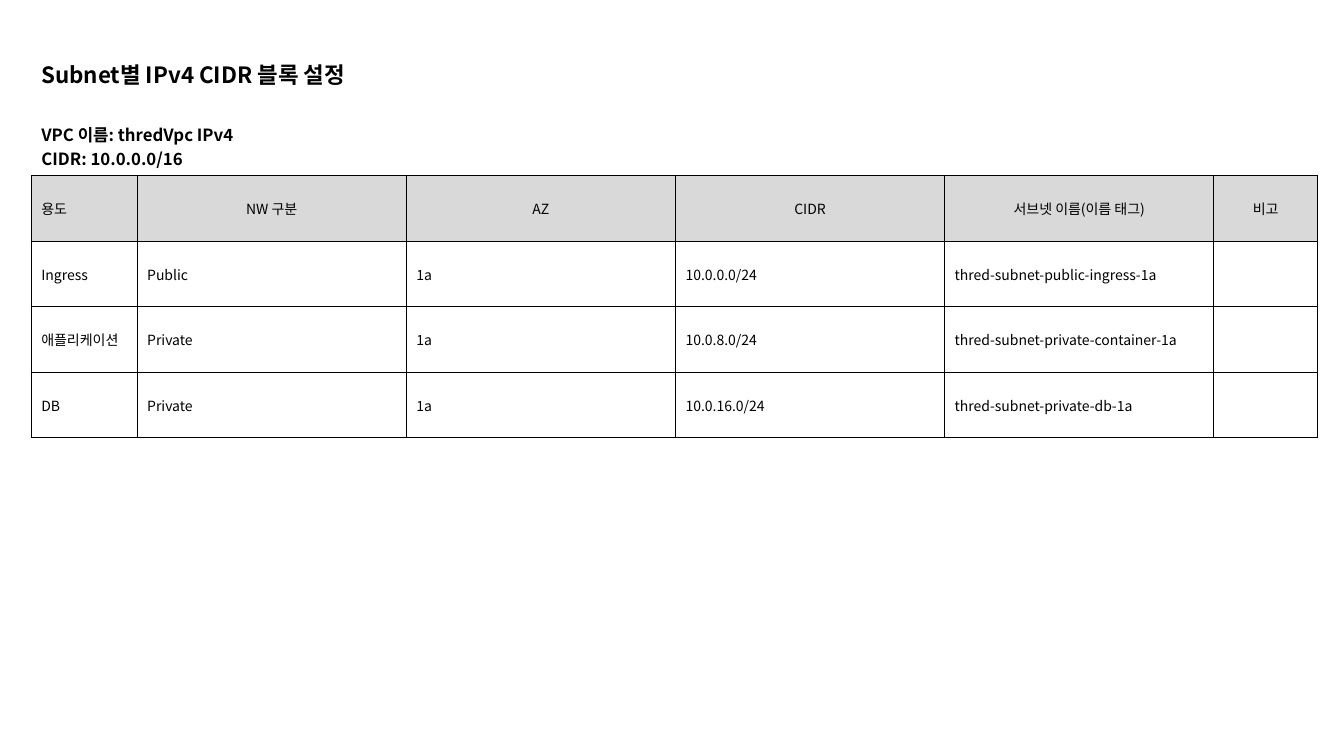
import pptx
import pptx.util
import pptx.dml.color
import pptx.enum.text
import pptx.oxml.ns
import lxml.etree

Inches, Pt = pptx.util.Inches, pptx.util.Pt
PP_ALIGN = pptx.enum.text.PP_ALIGN
FONT = "Noto Sans CJK KR"
NO_STYLE = "{2D5ABB26-0587-4C30-8999-92F81FD0307C}"
COLORS = {"text": "000000", "border": "000000", "header": "D9D9D9", "body": "FFFFFF"}

HEADING = [
    ("Subnet별 IPv4 CIDR 블록 설정", 16, 0),
    ("VPC 이름: thredVpc IPv4", 12, 23),
    ("CIDR: 10.0.0.0/16", 12, 0),
]
ROWS = [
    ("용도", "NW 구분", "AZ", "CIDR", "서브넷 이름(이름 태그)", "비고"),
    ("Ingress", "Public", "1a", "10.0.0.0/24", "thred-subnet-public-ingress-1a", ""),
    ("애플리케이션", "Private", "1a", "10.0.8.0/24", "thred-subnet-private-container-1a", ""),
    ("DB", "Private", "1a", "10.0.16.0/24", "thred-subnet-private-db-1a", ""),
]
COL_WIDTHS = [1.05] + [2.67] * 4 + [1.03]
ROW_HEIGHTS = [1.22] + [0.65] * len(ROWS)
LEFT, TOP = 0.31, 0.52


def rgb(name):
    return pptx.dml.color.RGBColor.from_string(COLORS[name])


def add_text(p, text, size, bold=False):
    r = p.add_run()
    r.text = text
    for key, value in {"name": FONT, "size": Pt(size), "bold": bold}.items():
        setattr(r.font, key, value)
    r.font.color.rgb = rgb("text")
    ea = lxml.etree.SubElement(r.font._element, pptx.oxml.ns.qn("a:ea"))
    ea.set("typeface", FONT)


def add_borders(cell, sides):
    tcPr = cell._tc.get_or_add_tcPr()
    for side in sides:
        ln = lxml.etree.SubElement(tcPr, pptx.oxml.ns.qn("a:ln" + side), w=str(Pt(1)))
        fill = lxml.etree.SubElement(ln, pptx.oxml.ns.qn("a:solidFill"))
        lxml.etree.SubElement(fill, pptx.oxml.ns.qn("a:srgbClr"), val=COLORS["border"])


def fill_cell(cell, name):
    cell.fill.solid()
    cell.fill.fore_color.rgb = rgb(name)


def add_subnet_table(slide):
    frame = slide.shapes.add_table(
        len(ROW_HEIGHTS), len(COL_WIDTHS), Inches(LEFT), Inches(TOP),
        Inches(sum(COL_WIDTHS)), Inches(sum(ROW_HEIGHTS)))
    table = frame.table
    table.first_row = table.horz_banding = False
    table._tbl.tblPr.find(pptx.oxml.ns.qn("a:tableStyleId")).text = NO_STYLE
    for column, width in zip(table.columns, COL_WIDTHS):
        column.width = Inches(width)
    for row, height in zip(table.rows, ROW_HEIGHTS):
        row.height = Inches(height)

    for cell in table.rows[0].cells:
        add_borders(cell, "B")
        fill_cell(cell, "body")
    heading = table.cell(0, 0)
    heading.merge(table.cell(0, 1))
    tf = heading.text_frame
    for i, (text, size, gap) in enumerate(HEADING):
        p = tf.add_paragraph() if i else tf.paragraphs[0]
        p.space_before = Pt(gap)
        add_text(p, text, size, bold=True)

    for i, values in enumerate(ROWS):
        for j, value in enumerate(values):
            cell = table.cell(i + 1, j)
            add_borders(cell, "LRTB")
            fill_cell(cell, "body" if i else "header")
            cell.vertical_anchor = pptx.enum.text.MSO_ANCHOR.MIDDLE
            p = cell.text_frame.paragraphs[0]
            p.alignment = PP_ALIGN.CENTER if i == 0 and j else PP_ALIGN.LEFT
            if value:
                add_text(p, value, 10)


def main():
    prs = pptx.Presentation()
    prs.slide_width, prs.slide_height = Inches(13.33), Inches(7.5)
    slide = prs.slides.add_slide(prs.slide_layouts[6])
    add_subnet_table(slide)
    prs.save("out.pptx")


if __name__ == "__main__":
    main()
